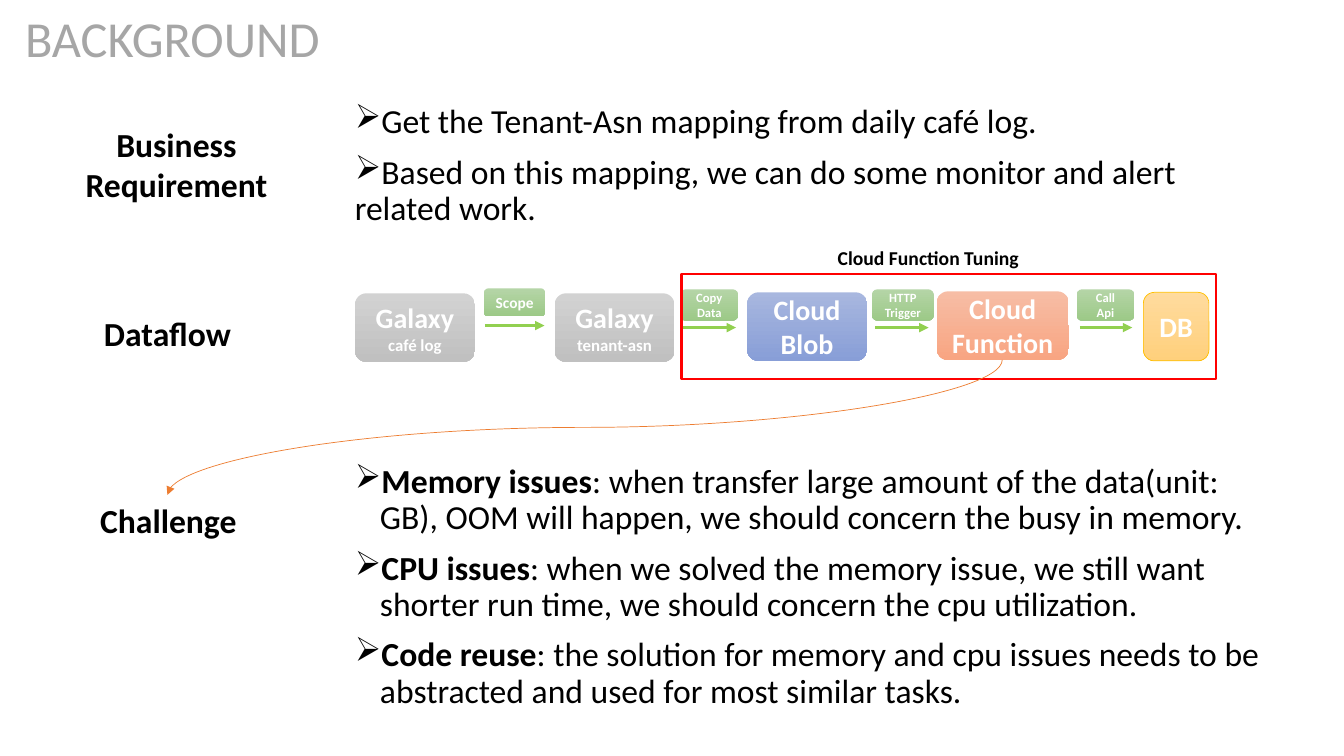
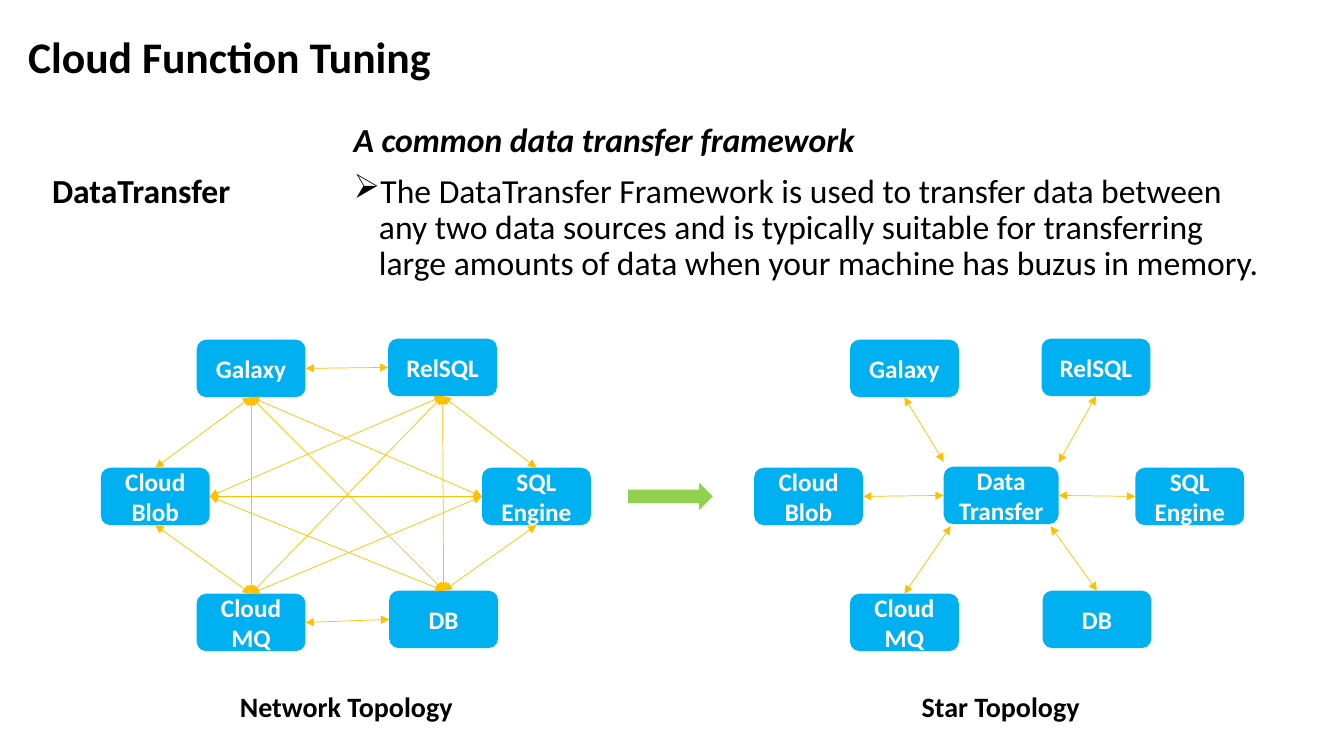
from lxml.etree import SubElement
from pptx import Presentation
from pptx.dml.color import RGBColor
from pptx.enum.shapes import MSO_CONNECTOR, MSO_SHAPE
from pptx.enum.text import MSO_ANCHOR, PP_ALIGN
from pptx.oxml.ns import qn
from pptx.util import Pt

# Shared look
PX = 9144  # 100 px to the inch
FONT = "Calibri"
BLACK = RGBColor(0x00, 0x00, 0x00)
WHITE = RGBColor(0xFF, 0xFF, 0xFF)
PALE_TITLE = RGBColor(0xA6, 0xA6, 0xA6)
RED = RGBColor(0xFF, 0x00, 0x00)
GREEN = RGBColor(0x92, 0xD0, 0x50)
GOLD = RGBColor(0xFF, 0xC0, 0x00)
ORANGE = RGBColor(0xED, 0x7D, 0x31)
SKY = RGBColor(0x00, 0xB0, 0xF0)

# Gradients, top to bottom
GRAY_FADE = (RGBColor(0xD2, 0xD2, 0xD2), RGBColor(0xC0, 0xC0, 0xC0))
BLUE_FADE = (RGBColor(0xA8, 0xB7, 0xDF), RGBColor(0x88, 0x9E, 0xD7))
GREEN_FADE = (RGBColor(0xB5, 0xD5, 0xA7), RGBColor(0x9C, 0xC9, 0x87))
ORANGE_FADE = (RGBColor(0xF7, 0xBD, 0xA5), RGBColor(0xF8, 0xA5, 0x82))
GOLD_FADE = (RGBColor(0xFF, 0xDB, 0x9E), RGBColor(0xFF, 0xD0, 0x7C))

TOP, LEFT, BOTTOM, RIGHT = range(4)
NODE_W, NODE_H = 108, 57
STAR_SHIFT = 648


def emu(*lengths):
    return [length * PX for length in lengths]


def write(shape, text, lead="", size=24, color=BLACK, bold=False, italic=False,
          align=PP_ALIGN.LEFT, spacing=None, before=None, bullet=False, indent=0):
    """Add one paragraph, with an optional bold lead before the text."""
    frame = shape.text_frame
    frame.word_wrap = True
    paragraph = frame.paragraphs[0] if not frame.text else frame.add_paragraph()
    paragraph.alignment = align
    if spacing:
        paragraph.line_spacing = spacing
    if before:
        paragraph.space_before = Pt(before)
    if bullet:
        props = paragraph._p.get_or_add_pPr()
        props.set("marL", str(indent * PX))
        props.set("indent", str(-indent * PX))
        SubElement(props, qn("a:buChar")).set("char", "➢")
    for words, strong in ((lead, True), (text, bold)):
        if words:
            run = paragraph.add_run()
            run.text = words
            run.font.name = FONT
            run.font.size = Pt(size)
            run.font.bold = strong
            run.font.italic = italic
            run.font.color.rgb = color


def add_box(slide, box, kind=MSO_SHAPE.ROUNDED_RECTANGLE, fill=None, line=None, width=0.5):
    """Draw a preset shape; fill is a colour, a pair of gradient colours or None."""
    shape = slide.shapes.add_shape(kind, *emu(*box))
    shape.shadow.inherit = False
    if fill is None:
        shape.fill.background()
    elif isinstance(fill, RGBColor):
        shape.fill.solid()
        shape.fill.fore_color.rgb = fill
    else:
        shape.fill.gradient()
        shape.fill.gradient_angle = 270
        for stop, color in zip(shape.fill.gradient_stops, fill):
            stop.color.rgb = color
    if line is None:
        shape.line.fill.background()
    else:
        shape.line.color.rgb = line
        shape.line.width = Pt(width)
    shape.text_frame.vertical_anchor = MSO_ANCHOR.MIDDLE
    return shape


def add_label(slide, box, lines, fill, sizes, line=None):
    """Box with centred white bold lines, one size for each line."""
    shape = add_box(slide, box, fill=fill, line=line)
    for text, size in zip(lines, sizes):
        write(shape, text, size=size, color=WHITE, bold=True, align=PP_ALIGN.CENTER)
    return shape


def add_text(slide, box):
    return slide.shapes.add_textbox(*emu(*box))


def add_heading(slide, box, text, size=24, align=PP_ALIGN.CENTER):
    write(add_text(slide, box), text, size=size, bold=True, align=align)


def add_title(slide, box, text, anchor, **style):
    title = add_box(slide, box, MSO_SHAPE.RECTANGLE, fill=WHITE)
    title.text_frame.vertical_anchor = anchor
    write(title, text, **style)


def add_bullets(slide, box, items, indent):
    body = add_text(slide, box)
    for lead, text in items:
        write(body, text, lead=lead, spacing=0.9, before=10, bullet=True, indent=indent)


def add_arrow(slide, begin, end, color, width=0.5, heads=("tailEnd",), kind=MSO_CONNECTOR.STRAIGHT):
    """Join two ends, each an (x, y) point or a (shape, side) pair."""
    begin_free, end_free = (isinstance(place[0], int) for place in (begin, end))
    arrow = slide.shapes.add_connector(
        kind, *emu(*(begin if begin_free else (0, 0)), *(end if end_free else (0, 0))))
    if not begin_free:
        arrow.begin_connect(*begin)
    if not end_free:
        arrow.end_connect(*end)
    arrow.line.color.rgb = color
    arrow.line.width = Pt(width)
    props = arrow._element.spPr
    for head in heads:
        SubElement(props.find(qn("a:ln")), qn(f"a:{head}")).set("type", "triangle")
    SubElement(props, qn("a:effectLst"))
    return arrow


def add_link(slide, begin, end):
    add_arrow(slide, begin, end, GOLD, heads=("headEnd", "tailEnd"))


def add_sources(slide, shift):
    """Draw the six data sources and return them by name."""
    places = {
        "Galaxy": (195, 337), "Cloud Blob": (100, 464), "RelSQL": (385, 336),
        "SQL Engine": (478, 464), "Cloud MQ": (195, 589), "DB": (386, 586),
    }
    return {name: add_label(slide, (x + shift, y, NODE_W, NODE_H), [name], SKY, [18])
            for name, (x, y) in places.items()}


def build_dataflow(slide):
    stages = [
        ((352, 291, 119, 68), ["Galaxy", "café log"], GRAY_FADE, None),
        ((550, 291, 119, 68), ["Galaxy", "tenant-asn"], GRAY_FADE, None),
        ((741, 290, 119, 68), ["Cloud Blob"], BLUE_FADE, None),
        ((929, 289, 131, 68), ["Cloud Function"], ORANGE_FADE, None),
        ((1134, 290, 65, 68), ["DB"], GOLD_FADE, GOLD),
    ]
    for box, lines, fade, line in stages:
        add_label(slide, box, lines, fade, (20, 12), line)

    # Steps between the stages, each over its arrow
    steps = [
        ((480, 286, 61, 28), ["Scope"], 11, (481, 540), 323),
        ((675, 287, 57, 31), ["Copy", "Data"], 9, (677, 730), 325),
        ((865, 287, 61, 31), ["HTTP", "Trigger"], 9, (868, 921), 325),
        ((1068, 287, 57, 31), ["Call", "Api"], 9, (1071, 1123), 325),
    ]
    for box, lines, size, (start, stop), y in steps:
        add_label(slide, box, lines, GREEN_FADE, (size, size))
        add_arrow(slide, (start, y), (stop, y), GREEN, width=2.25)

    # Part to be tuned
    add_box(slide, (676, 272, 530, 104), MSO_SHAPE.RECTANGLE, line=RED, width=1.75)
    add_heading(slide, (821, 239, 217, 34), "Cloud Function Tuning", 14, PP_ALIGN.LEFT)

    # Curve from the function to the challenge, a quarter turn clockwise
    curve = add_arrow(slide, (513, 10), (647, 838), ORANGE, kind=MSO_CONNECTOR.CURVE)
    curve._element.spPr.find(qn("a:xfrm")).set("rot", str(90 * 60000))


def build_background(slide):
    add_title(slide, (0, 0, 342, 70), "BACKGROUND", MSO_ANCHOR.BOTTOM,
              size=36, color=PALE_TITLE, align=PP_ALIGN.CENTER, spacing=0.7)
    add_heading(slide, (65, 118, 220, 91), "Business Requirement")
    add_heading(slide, (82, 306, 168, 50), "Dataflow")
    add_heading(slide, (67, 491, 200, 50), "Challenge")
    add_bullets(slide, (342, 99, 849, 139), [
        ("", "Get the Tenant-Asn mapping from daily café log."),
        ("", "Based on this mapping, we can do some monitor and alert related work."),
    ], indent=0)
    add_bullets(slide, (342, 456, 922, 271), [
        ("Memory issues", ": when transfer large amount of the data(unit: GB), OOM will happen, "
                          "we should concern the busy in memory."),
        ("CPU issues", ": when we solved the memory issue, we still want shorter run time, "
                       "we should concern the cpu utilization."),
        ("Code reuse", ": the solution for memory and cpu issues needs to be abstracted "
                       "and used for most similar tasks."),
    ], indent=25)
    build_dataflow(slide)


def build_network(slide):
    nodes = add_sources(slide, 0)
    links = [
        ("Galaxy", RIGHT, "RelSQL", LEFT),
        ("SQL Engine", TOP, "RelSQL", BOTTOM),
        ("Cloud Blob", RIGHT, "SQL Engine", LEFT),
        ("Cloud MQ", RIGHT, "DB", LEFT),
        ("Cloud Blob", TOP, "Galaxy", BOTTOM),
        ("SQL Engine", BOTTOM, "DB", TOP),
        ("Cloud Blob", BOTTOM, "Cloud MQ", TOP),
        ("Cloud MQ", TOP, "Galaxy", BOTTOM),
        ("DB", TOP, "RelSQL", BOTTOM),
        ("Cloud Blob", RIGHT, "RelSQL", BOTTOM),
        ("Cloud Blob", RIGHT, "DB", TOP),
        ("Galaxy", BOTTOM, "SQL Engine", LEFT),
        ("Cloud MQ", TOP, "SQL Engine", LEFT),
        ("Galaxy", BOTTOM, "DB", TOP),
        ("Cloud MQ", TOP, "RelSQL", BOTTOM),
    ]
    for source, source_side, target, target_side in links:
        add_link(slide, (nodes[source], source_side), (nodes[target], target_side))
    add_heading(slide, (228, 679, 231, 44), "Network Topology", 20)


def build_star(slide):
    nodes = add_sources(slide, STAR_SHIFT)
    hub = add_label(slide, (936, 463, 114, NODE_H), ["Data", "Transfer"], SKY, (18, 18))
    spokes = [
        ("Galaxy", BOTTOM, (936, 458)),
        ("RelSQL", BOTTOM, (1050, 459)),
        ("Cloud Blob", RIGHT, (hub, LEFT)),
        ("SQL Engine", LEFT, (hub, RIGHT)),
        ("Cloud MQ", TOP, (943, 522)),
        ("DB", TOP, (1042, 522)),
    ]
    for source, side, hub_end in spokes:
        add_link(slide, (nodes[source], side), hub_end)
    add_heading(slide, (877, 679, 231, 44), "Star Topology", 20)


def build_tuning(slide):
    add_title(slide, (18, 18, 424, 82), "Cloud Function Tuning", MSO_ANCHOR.MIDDLE,
              size=31.2, bold=True, spacing=0.9)
    add_heading(slide, (30, 164, 220, 50), "DataTransfer")
    body = add_text(slide, (341, 118, 922, 183))
    write(body, "A common data transfer framework", bold=True, italic=True,
          spacing=0.9, before=10)
    write(body, "The DataTransfer Framework is used to transfer data between any two data "
                "sources and is typically suitable for transferring large amounts of data "
                "when your machine has buzus in memory.",
          spacing=0.9, before=10, bullet=True, indent=25)
    build_network(slide)
    add_box(slide, (623, 479, 84, 27), MSO_SHAPE.RIGHT_ARROW, fill=GREEN)
    build_star(slide)


def main():
    deck = Presentation()
    deck.slide_width, deck.slide_height = emu(1333, 750)
    blank = deck.slide_layouts[6]
    for build in (build_background, build_tuning):
        build(deck.slides.add_slide(blank))
    deck.save("out.pptx")


if __name__ == "__main__":
    main()
